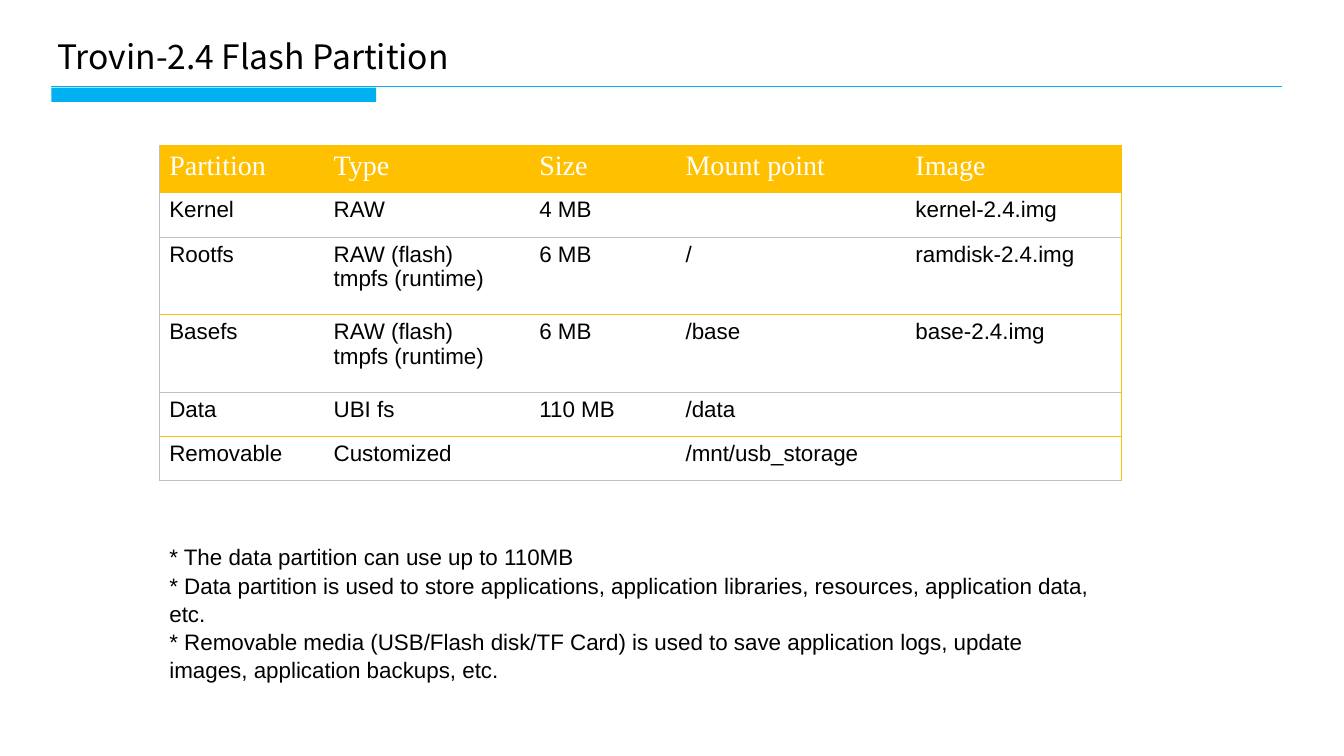
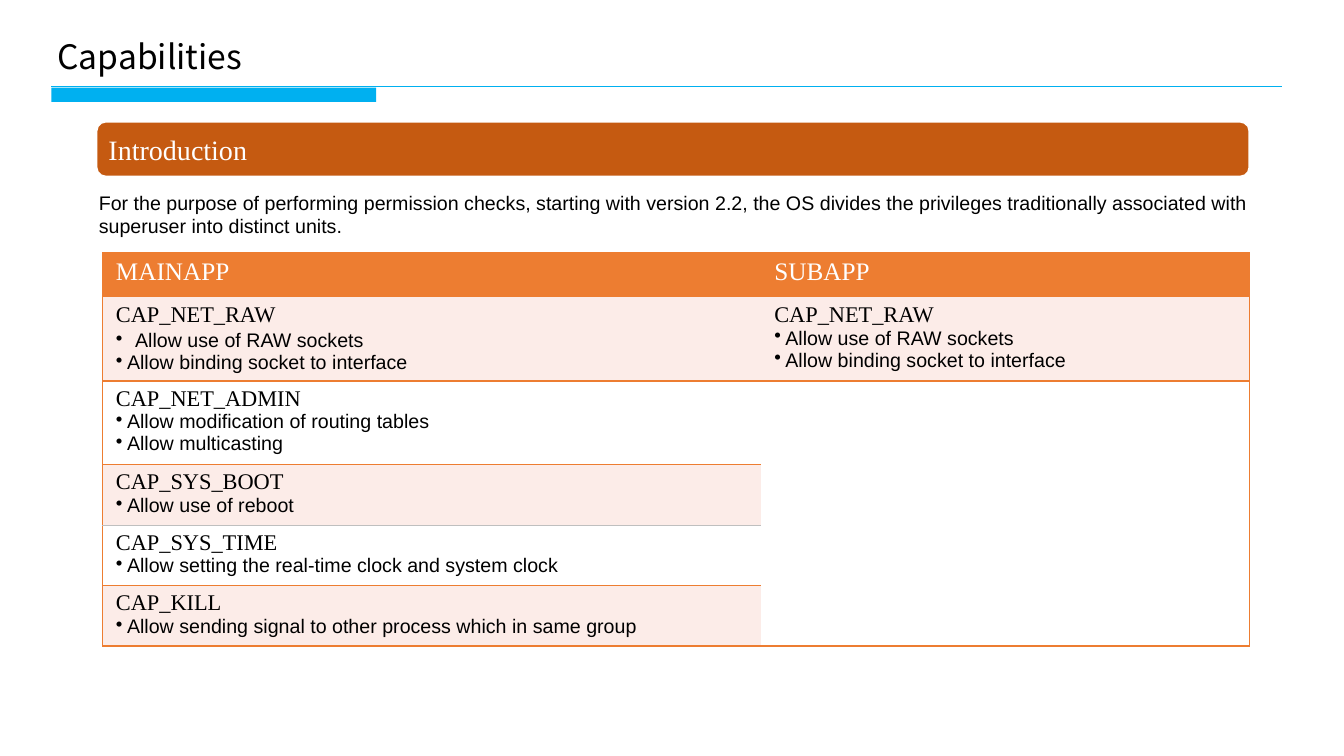
from dataclasses import dataclass
from typing import Optional

import pptx
import pptx.dml.color
import pptx.enum.shapes
import pptx.enum.text
import pptx.oxml.ns
import pptx.oxml.xmlchemy
import pptx.util
from lxml import etree

Inches = pptx.util.Inches
Pt = pptx.util.Pt
RGBColor = pptx.dml.color.RGBColor
Anchor = pptx.enum.text.MSO_ANCHOR
qn = pptx.oxml.ns.qn

BLACK = RGBColor(0x00, 0x00, 0x00)
WHITE = RGBColor(0xFF, 0xFF, 0xFF)
BLUE = RGBColor(0x00, 0xB0, 0xF0)
GOLD = RGBColor(0xFF, 0xC0, 0x00)
GREY = RGBColor(0xBF, 0xBF, 0xBF)
ORANGE = RGBColor(0xED, 0x7D, 0x31)
DARK_ORANGE = RGBColor(0xC5, 0x5A, 0x11)
PALE_ORANGE = RGBColor(0xFC, 0xEC, 0xE8)

TITLE_FONT = "Noto Sans CJK SC"
HEADING_FONT = "Times New Roman"
BODY_FONT = "Arial"
PLAIN_TABLE_STYLE = "{2D5ABB26-0587-4C30-8999-92F81FD0307C}"


@dataclass(frozen=True)
class Box:
    left: float
    top: float
    width: float
    height: float

    def lengths(self) -> tuple:
        return tuple(map(Inches, (self.left, self.top, self.width, self.height)))


@dataclass(frozen=True)
class Edge:
    color: RGBColor
    points: float


@dataclass(frozen=True)
class TableStyle:
    header_fill: RGBColor
    header_size: float
    margin: float
    left: Edge
    right: Edge
    row_bottoms: tuple[Optional[Edge], ...]
    row_fills: tuple[RGBColor, ...]


@dataclass(frozen=True)
class Capability:
    name: str
    actions: tuple[str, ...]


PARTITION_ROWS = (
    ("Partition", "Type", "Size", "Mount point", "Image"),
    ("Kernel", "RAW", "4 MB", "", "kernel-2.4.img"),
    ("Rootfs", "RAW (flash)\ntmpfs (runtime)", "6 MB", "/", "ramdisk-2.4.img"),
    ("Basefs", "RAW (flash)\ntmpfs (runtime)", "6 MB", "/base", "base-2.4.img"),
    ("Data", "UBI fs", "110 MB", "/data", ""),
    ("Removable", "Customized", "", "/mnt/usb_storage", ""),
)
PARTITION_NOTES = (
    "* The data partition can use up to 110MB",
    "* Data partition is used to store applications, application libraries, "
    "resources, application data, etc.",
    "* Removable media (USB/Flash disk/TF Card) is used to save application "
    "logs, update images, application backups, etc.",
)
CAPABILITIES = (
    Capability("CAP_NET_RAW", ("Allow use of RAW sockets",
                               "Allow binding socket to interface")),
    Capability("CAP_NET_ADMIN", ("Allow modification of routing tables",
                                 "Allow multicasting")),
    Capability("CAP_SYS_BOOT", ("Allow use of reboot",)),
    Capability("CAP_SYS_TIME", ("Allow setting the real-time clock and system clock",)),
    Capability("CAP_KILL", ("Allow sending signal to other process which in same group",)),
)
CAPABILITY_INTRODUCTION = (
    "For the purpose of performing permission checks, starting with version 2.2, "
    "the OS divides the privileges traditionally associated with superuser into "
    "distinct units."
)

GOLD_EDGE = Edge(GOLD, 0.5)
GREY_EDGE = Edge(GREY, 0.5)
ORANGE_EDGE = Edge(ORANGE, 1)

PARTITION_STYLE = TableStyle(
    GOLD, 20, 0.1, GREY_EDGE, GOLD_EDGE,
    (GOLD_EDGE, GREY_EDGE, GOLD_EDGE, GREY_EDGE, GOLD_EDGE, GREY_EDGE),
    (WHITE,),
)
CAPABILITY_STYLE = TableStyle(
    ORANGE, 18, 0.13, ORANGE_EDGE, ORANGE_EDGE,
    (None, ORANGE_EDGE, ORANGE_EDGE, GREY_EDGE, ORANGE_EDGE, ORANGE_EDGE),
    (PALE_ORANGE, WHITE),
)


def format_paragraph(paragraph, font: str, size: float, color: RGBColor = BLACK) -> None:
    for run in paragraph.runs:
        run.font.name = font
        run.font.size = Pt(size)
        run.font.color.rgb = color


def set_bullet(paragraph, character: str = "", indent: float = 0) -> None:
    """Give the paragraph a hanging bullet, or none if no character is given."""
    properties = paragraph._p.get_or_add_pPr()
    properties.set("marL", str(Inches(indent)))
    properties.set("indent", str(-Inches(indent)))
    if character:
        etree.SubElement(properties, qn("a:buChar"), char=character)
    else:
        etree.SubElement(properties, qn("a:buNone"))


def place(shape, box: Box) -> None:
    shape.left, shape.top, shape.width, shape.height = box.lengths()


def add_titled_slide(presentation, title: str):
    """Add a slide with the shared title, rule and accent bar."""
    slide = presentation.slides.add_slide(presentation.slide_layouts[1])
    title_shape = slide.shapes.title
    place(title_shape, Box(0.47, 0.31, 9, 0.5))
    frame = title_shape.text_frame
    frame.text = title
    frame.auto_size = pptx.enum.text.MSO_AUTO_SIZE.NONE
    frame.vertical_anchor = Anchor.MIDDLE
    frame.paragraphs[0].alignment = pptx.enum.text.PP_ALIGN.LEFT
    format_paragraph(frame.paragraphs[0], TITLE_FONT, 24)

    rule = slide.shapes.add_connector(
        pptx.enum.shapes.MSO_CONNECTOR.STRAIGHT,
        Inches(0.51), Inches(0.86), Inches(12.72), Inches(0.86))
    rule.line.color.rgb = BLUE
    rule.line.width = Pt(1)
    etree.SubElement(rule._element.spPr, qn("a:effectLst"))

    bar = slide.shapes.add_shape(
        pptx.enum.shapes.MSO_SHAPE.RECTANGLE, *Box(0.51, 0.87, 3.22, 0.14).lengths())
    bar.shadow.inherit = False
    bar.fill.solid()
    bar.fill.fore_color.rgb = BLUE
    bar.line.fill.background()
    return slide


def fill_body(slide, box: Box, lines: tuple[str, ...], size: float,
              anchor, line_spacing: float) -> None:
    body = slide.placeholders[1]
    place(body, box)
    frame = body.text_frame
    frame.text = "\n".join(lines)
    frame.auto_size = pptx.enum.text.MSO_AUTO_SIZE.NONE
    frame.vertical_anchor = anchor
    for paragraph in frame.paragraphs:
        paragraph.space_before = Pt(0)
        paragraph.line_spacing = line_spacing
        set_bullet(paragraph)
        format_paragraph(paragraph, BODY_FONT, size)


def set_edge(cell, side: str, edge: Optional[Edge]) -> None:
    line = etree.SubElement(cell._tc.get_or_add_tcPr(), qn(f"a:ln{side}"))
    line.set("w", str(Pt(edge.points) if edge else 0))
    if edge is None:
        etree.SubElement(line, qn("a:noFill"))
        return
    fill = etree.SubElement(line, qn("a:solidFill"))
    etree.SubElement(fill, qn("a:srgbClr"), val=str(edge.color))


def add_styled_table(slide, left: float, top: float, columns: tuple[float, ...],
                     rows: tuple[float, ...], style: TableStyle):
    """Add an empty table with its sizes, edges and fills."""
    box = Box(left, top, sum(columns), sum(rows))
    table = slide.shapes.add_table(len(rows), len(columns), *box.lengths()).table
    table._tbl.tblPr.find(qn("a:tableStyleId")).text = PLAIN_TABLE_STYLE
    for column, width in zip(table.columns, columns):
        column.width = Inches(width)
    for row_index, (row, height) in enumerate(zip(table.rows, rows)):
        row.height = Inches(height)
        for column_index, cell in enumerate(row.cells):
            cell.margin_left = cell.margin_right = Inches(style.margin)
            if column_index == 0:
                set_edge(cell, "L", style.left)
            if column_index == len(columns) - 1:
                set_edge(cell, "R", style.right)
            if row_index == 0:
                set_edge(cell, "T", style.right)
            set_edge(cell, "B", style.row_bottoms[row_index])
            cell.fill.solid()
            cell.fill.fore_color.rgb = (
                style.row_fills[(row_index - 1) % len(style.row_fills)]
                if row_index else style.header_fill)
    return table


def write_cell(cell, text: str, font: str, size: float, color: RGBColor = BLACK) -> None:
    cell.text_frame.text = text
    for paragraph in cell.text_frame.paragraphs:
        format_paragraph(paragraph, font, size, color)


def write_header(table, labels: tuple[str, ...], style: TableStyle) -> None:
    for cell, label in zip(table.rows[0].cells, labels):
        write_cell(cell, label, HEADING_FONT, style.header_size, WHITE)


def write_capability(cell, capability: Capability, wide_first: bool = False) -> None:
    write_cell(cell, "\n".join((capability.name, *capability.actions)), BODY_FONT, 14)
    heading, *actions = cell.text_frame.paragraphs
    format_paragraph(heading, HEADING_FONT, 16)
    for index, paragraph in enumerate(actions):
        wide = wide_first and index == 0
        if wide:
            paragraph.space_before = Pt(2)
        set_bullet(paragraph, "•", 0.19 if wide else 0.11)


def build_partition_slide(presentation) -> None:
    slide = add_titled_slide(presentation, "Trovin-2.4 Flash Partition")
    table = add_styled_table(
        slide, 1.58, 1.44, (1.63, 2.04, 1.45, 2.28, 2.14),
        (0.47, 0.44, 0.77, 0.77, 0.44, 0.44), PARTITION_STYLE)
    write_header(table, PARTITION_ROWS[0], PARTITION_STYLE)
    for row_index, texts in enumerate(PARTITION_ROWS[1:], start=1):
        for column_index, text in enumerate(texts):
            write_cell(table.cell(row_index, column_index), text, BODY_FONT, 16)
    fill_body(slide, Box(1.58, 5.33, 9.35, 1.45), PARTITION_NOTES, 16, Anchor.TOP, 1.05)


def build_capability_slide(presentation) -> None:
    slide = add_titled_slide(presentation, "Capabilities")

    # Capability table, with one empty block under the second heading
    table = add_styled_table(
        slide, 1.02, 2.51, (6.53, 4.84), (0.44, 0.83, 0.83, 0.6, 0.6, 0.6),
        CAPABILITY_STYLE)
    write_header(table, ("MAINAPP", "SUBAPP"), CAPABILITY_STYLE)
    for row_index, capability in enumerate(CAPABILITIES, start=1):
        write_capability(table.cell(row_index, 0), capability, row_index == 1)
    write_capability(table.cell(1, 1), CAPABILITIES[0])
    empty_block = table.cell(2, 1)
    empty_block.merge(table.cell(5, 1))
    empty_block.fill.fore_color.rgb = WHITE

    # Section banner
    banner = slide.shapes.add_shape(
        pptx.enum.shapes.MSO_SHAPE.ROUNDED_RECTANGLE,
        *Box(0.96, 1.21, 11.43, 0.54).lengths())
    banner.shadow.inherit = False
    banner.fill.solid()
    banner.fill.fore_color.rgb = DARK_ORANGE
    banner.line.color.rgb = WHITE
    banner.line.width = Pt(1)
    frame = banner.text_frame
    frame.text = "Introduction"
    frame.margin_left = Inches(0.09)
    frame.vertical_anchor = Anchor.MIDDLE
    frame.paragraphs[0].alignment = pptx.enum.text.PP_ALIGN.LEFT
    format_paragraph(frame.paragraphs[0], HEADING_FONT, 20, WHITE)

    fill_body(slide, Box(0.88, 1.84, 11.85, 0.57), (CAPABILITY_INTRODUCTION,),
              14, Anchor.MIDDLE, 1)


def main() -> None:
    presentation = pptx.Presentation()
    presentation.slide_width = Inches(13.33)
    presentation.slide_height = Inches(7.5)
    build_partition_slide(presentation)
    build_capability_slide(presentation)
    presentation.save("out.pptx")


if __name__ == "__main__":
    main()
